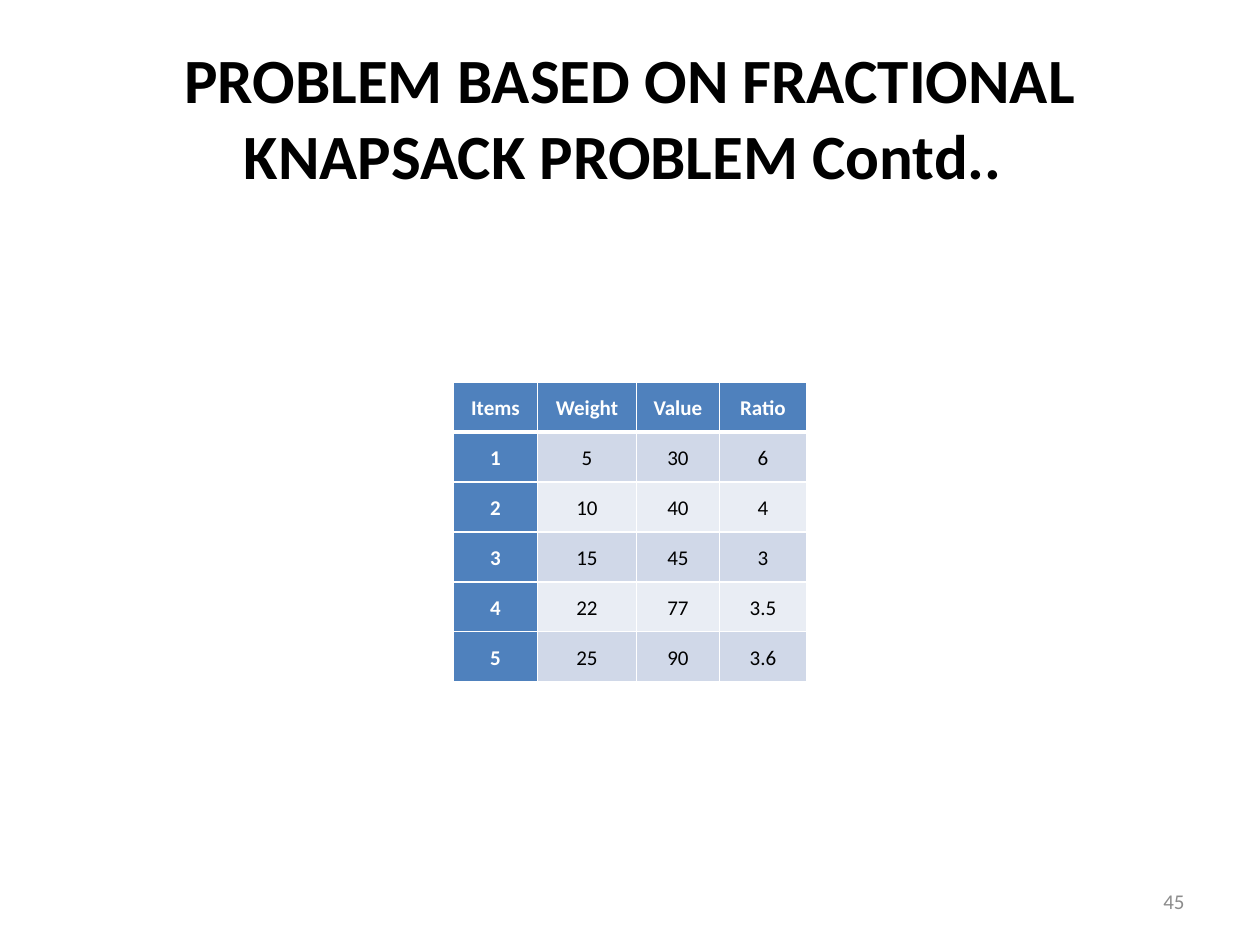
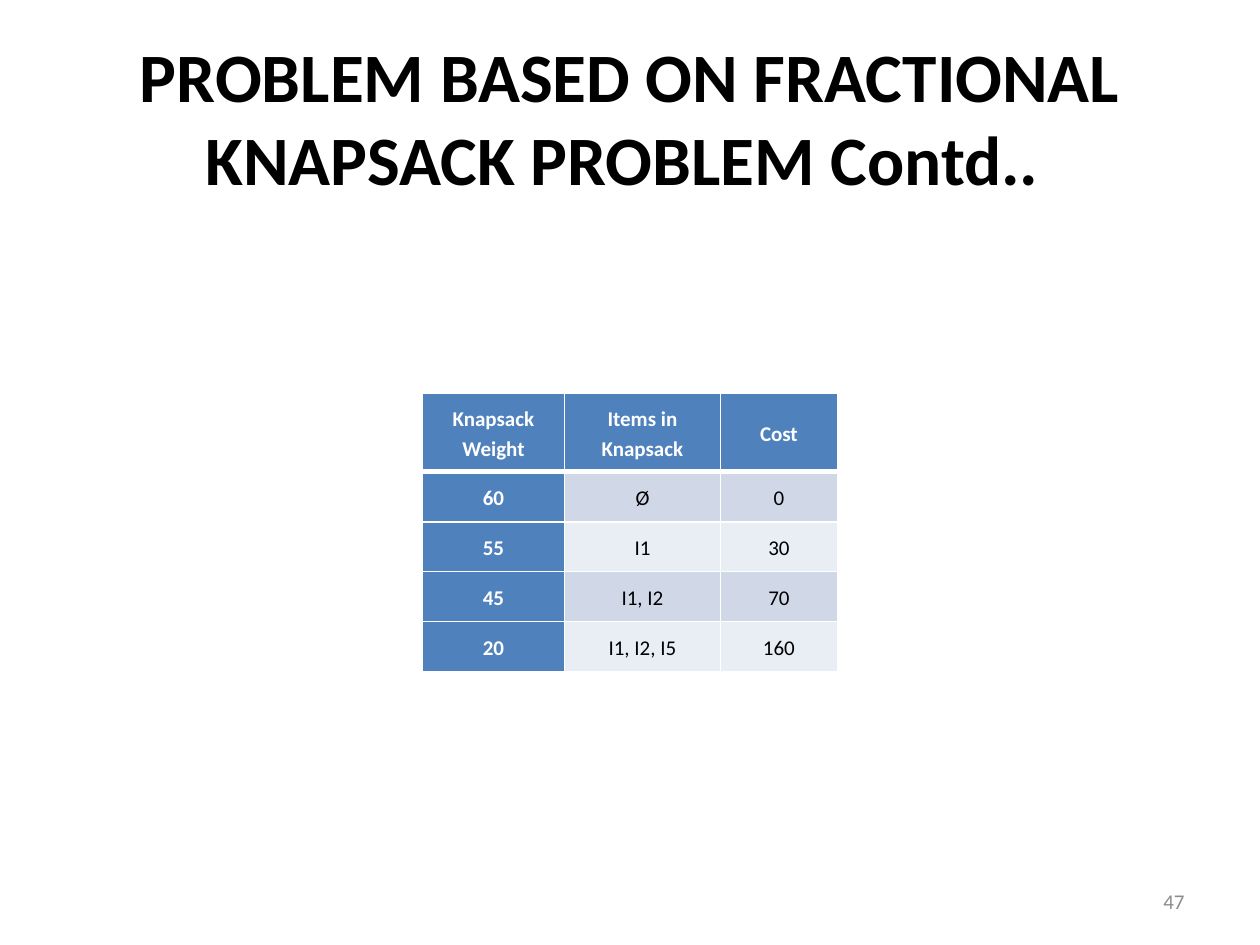
"""Build two slides with tables for the fractional knapsack problem."""
from lxml.etree import SubElement
from pptx import Presentation
from pptx.dml.color import RGBColor
from pptx.enum.text import MSO_ANCHOR, MSO_AUTO_SIZE, PP_ALIGN
from pptx.oxml.ns import qn
from pptx.util import Pt

PX = 914400 // 126
SLIDE_WIDTH, SLIDE_HEIGHT = 1260, 945
TITLE_AREA = (63, 38, 1134, 157)
NUMBER_AREA = (903, 876, 294, 50)
TABLE_CENTRE = (630, 532)
ROW_HEIGHT = 50
CELL_MARGINS = {"margin_left": 13 * PX, "margin_right": 13 * PX,
                "margin_top": 10 * PX, "margin_bottom": 10 * PX}

BLACK = RGBColor(0x00, 0x00, 0x00)
WHITE = RGBColor(0xFF, 0xFF, 0xFF)
GREY = RGBColor(0x8C, 0x8C, 0x8C)
BLUE = RGBColor(0x4F, 0x81, 0xBD)
BANDS = (RGBColor(0xD0, 0xD8, 0xE8), RGBColor(0xE9, 0xED, 0xF4))

TITLE = "PROBLEM BASED ON FRACTIONAL KNAPSACK PROBLEM Contd.. "
SLIDES = [
    {
        "number": "45", "title_size": 36, "header_height": 50,
        "columns": (84, 99, 83, 87),
        "rows": [
            ("Items", "Weight", "Value", "Ratio"),
            ("1", "5", "30", "6"),
            ("2", "10", "40", "4"),
            ("3", "15", "45", "3"),
            ("4", "22", "77", "3.5"),
            ("5", "25", "90", "3.6"),
        ],
    },
    {
        "number": "47", "title_size": 39.6, "header_height": 78,
        "columns": (142, 156, 117),
        "rows": [
            ("Knapsack Weight", "Items in Knapsack", "Cost"),
            ("60", "Ø", "0"),
            ("55", "I1", "30"),
            ("45", "I1, I2", "70"),
            ("20", "I1, I2, I5", "160"),
        ],
    },
]


def assign(target, values):
    """Set each attribute named in values."""
    for name, value in values.items():
        setattr(target, name, value)


def write(frame, text, size, color, bold=False, align=PP_ALIGN.CENTER, spacing=1.0):
    """Put one formatted paragraph in a text frame."""
    frame.text = text
    para = frame.paragraphs[0]
    assign(para, {"alignment": align, "line_spacing": spacing, "space_before": Pt(0)})
    font = para.runs[0].font
    assign(font, {"name": "Calibri", "size": Pt(size), "bold": bold})
    font.color.rgb = color


def place(shape, area):
    """Move and size a shape by an area in px."""
    assign(shape, dict(zip(("left", "top", "width", "height"), (n * PX for n in area))))


def prepare(frame):
    """Give a text frame the shared wrapping and anchoring."""
    assign(frame, {"word_wrap": True, "auto_size": MSO_AUTO_SIZE.NONE,
                   "vertical_anchor": MSO_ANCHOR.MIDDLE})


def add_borders(cell, widths):
    """Draw white cell borders with widths in points."""
    properties = cell._tc.get_or_add_tcPr()
    for side, width in widths.items():
        line = SubElement(properties, qn(f"a:ln{side}"), w=str(Pt(width)))
        fill = SubElement(line, qn("a:solidFill"))
        SubElement(fill, qn("a:srgbClr"), val=str(WHITE))


def add_grid(page, content):
    """Add a centred table with a blue header row and first column."""
    rows, columns = content["rows"], content["columns"]
    heights = [content["header_height"]] + [ROW_HEIGHT] * (len(rows) - 1)
    width, height = sum(columns), sum(heights)
    left, top = TABLE_CENTRE[0] - width / 2, TABLE_CENTRE[1] - height / 2
    area = [int(n * PX) for n in (left, top, width, height)]
    table = page.shapes.add_table(len(rows), len(columns), *area).table
    for column, size in zip(table.columns, columns):
        column.width = size * PX
    for row, size in zip(table.rows, heights):
        row.height = size * PX
    for r, values in enumerate(rows):
        for c, value in enumerate(values):
            cell = table.cell(r, c)
            heading = r == 0 or c == 0
            assign(cell, CELL_MARGINS | {"vertical_anchor": MSO_ANCHOR.MIDDLE})
            add_borders(cell, {"L": 1, "R": 1, "T": 3 if r == 1 else 1,
                               "B": 3 if r == 0 else 1})
            cell.fill.solid()
            cell.fill.fore_color.rgb = BLUE if heading else BANDS[(r - 1) % 2]
            write(cell.text_frame, value, 12, WHITE if heading else BLACK,
                  bold=heading, spacing=1.15)


def add_page(deck, content):
    """Add a slide with its title, table and page number."""
    page = deck.slides.add_slide(deck.slide_layouts[5])
    title = page.shapes.title
    place(title, TITLE_AREA)
    prepare(title.text_frame)
    write(title.text_frame, TITLE, content["title_size"], BLACK, bold=True)
    add_grid(page, content)
    box = page.shapes.add_textbox(*(n * PX for n in NUMBER_AREA))
    prepare(box.text_frame)
    write(box.text_frame, content["number"], 12, GREY, align=PP_ALIGN.RIGHT)


def main():
    """Create and save the deck."""
    deck = Presentation()
    assign(deck, {"slide_width": SLIDE_WIDTH * PX, "slide_height": SLIDE_HEIGHT * PX})
    for content in SLIDES:
        add_page(deck, content)
    deck.save("out.pptx")


if __name__ == "__main__":
    main()
